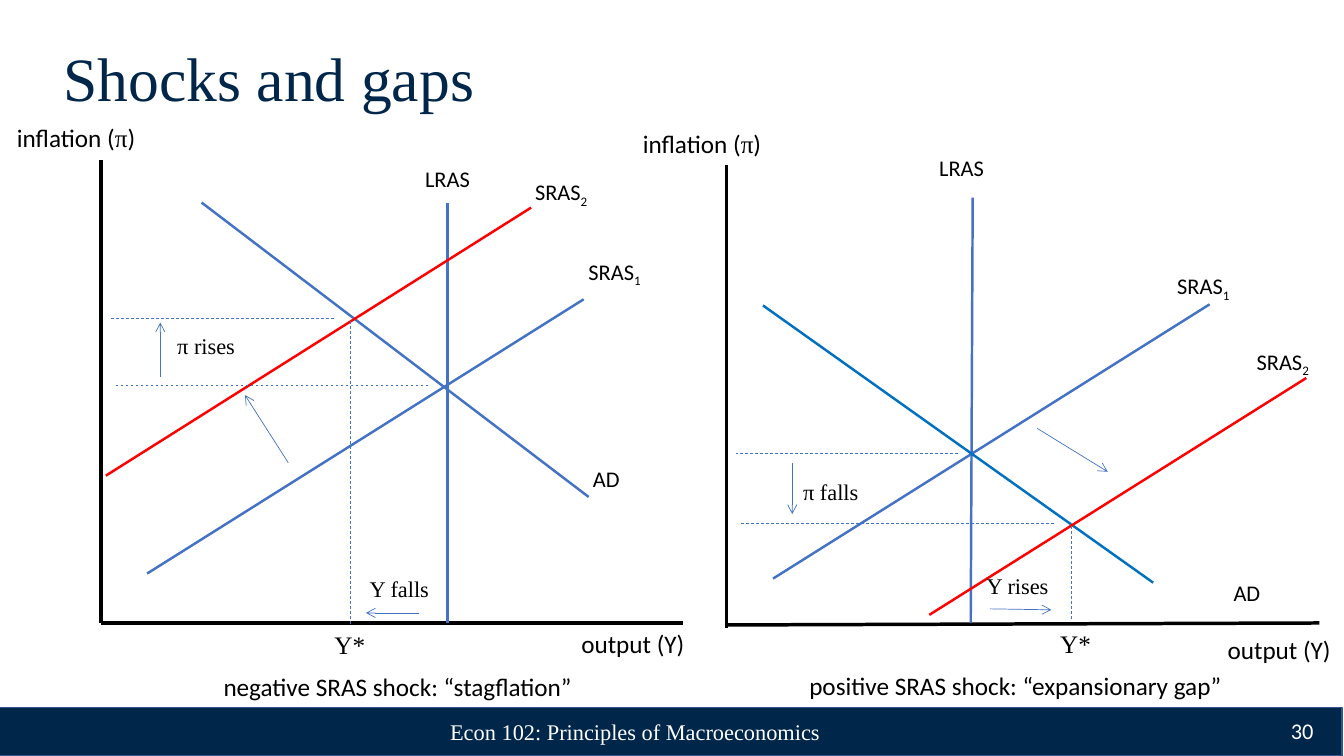
"""Build a slide comparing negative and positive supply shocks."""
from dataclasses import dataclass

from lxml import etree
from pptx import Presentation
from pptx.dml.color import RGBColor as Rgb
from pptx.enum import dml, shapes, text
from pptx.oxml.ns import qn
from pptx.util import Pt


@dataclass(frozen=True)
class Theme:
    navy: str = "00264A"
    edge: str = "325491"
    blue: str = "4472C4"
    teal: str = "0070C0"
    red: str = "FF0000"
    black: str = "000000"
    white: str = "FFFFFF"
    sans: str = "Calibri"
    serif: str = "Times New Roman"
    head: int = 44
    body: int = 18
    small: int = 16
    axis: float = 2.5
    curve: float = 1.75
    thin: float = 0.5


T = Theme()
SHIFT = (447.1, 3.6)


def line(slide, x1, y1, x2, y2, color=T.blue, width=T.curve, dash=False, arrow=False):
    item = slide.shapes.add_connector(
        shapes.MSO_CONNECTOR.STRAIGHT, Pt(x1), Pt(y1), Pt(x2), Pt(y2))
    item.line.color.rgb = Rgb.from_string(color)
    item.line.width = Pt(width)
    if dash:
        item.line.dash_style = dml.MSO_LINE.DASH
    props = item._element.spPr
    if arrow:
        etree.SubElement(props.find(qn("a:ln")), qn("a:tailEnd"), type="arrow")
    etree.SubElement(props, qn("a:effectLst"))


def style(run, size, font, color):
    run.font.size = Pt(size)
    run.font.name = font
    run.font.color.rgb = Rgb.from_string(color)


def label(slide, parts, x, y, w, h=26.6, size=T.small, font=T.sans, wrap=False):
    """Place a text made of one or more runs and return the runs."""
    box = slide.shapes.add_textbox(Pt(x), Pt(y), Pt(w), Pt(h))
    frame = box.text_frame
    frame.word_wrap = wrap
    frame.auto_size = text.MSO_AUTO_SIZE.SHAPE_TO_FIT_TEXT
    para = frame.paragraphs[0]
    for part in parts:
        run = para.add_run()
        run.text = part
        style(run, size, font, T.black)
    return para.runs


def supply(slide, num, x, y):
    runs = label(slide, ("SRAS", num), x, y, 53.3)
    runs[1]._r.get_or_add_rPr().set("baseline", "-25000")


def bar(slide, words, x, y, w, h, size, font, color, align):
    box = slide.shapes.add_textbox(Pt(x), Pt(y), Pt(w), Pt(h))
    frame = box.text_frame
    frame.word_wrap = True
    frame.vertical_anchor = text.MSO_ANCHOR.MIDDLE
    frame.margin_left = frame.margin_right = Pt(9.4)
    frame.margin_top = frame.margin_bottom = Pt(5)
    frame.text = words
    para = frame.paragraphs[0]
    para.alignment = align
    style(para.runs[0], size, font, color)
    return para


def base(slide):
    """Draw the title and the footer band."""
    band = slide.shapes.add_shape(
        shapes.MSO_SHAPE.RECTANGLE, Pt(-1.44), Pt(505.4), Pt(960), Pt(34.6))
    band.shadow.inherit = False
    band.fill.solid()
    band.fill.fore_color.rgb = Rgb.from_string(T.navy)
    band.line.color.rgb = Rgb.from_string(T.edge)
    band.line.width = Pt(1)
    side = text.PP_ALIGN
    title = bar(slide, "Shocks and gaps", 36, 28.8, 888, 58.3,
                T.head, T.serif, T.navy, side.LEFT)
    title.line_spacing = 0.9
    bar(slide, "Econ 102: Principles of Macroeconomics", 291.6, 508.3, 324, 28.8,
        T.small, T.serif, T.white, side.CENTER)
    bar(slide, "30", 880.6, 507.6, 67, 28.8, T.small, T.sans, T.white, side.RIGHT)


def frame(slide, dx, dy):
    """Draw what both graphs share: price axis, its name and first supply curve."""
    line(slide, 72 + dx, 114.5 + dy, 72 + dx, 445 + dy, T.black, T.axis)
    line(slide, 105.1 + dx, 409.7 + dy, 416.9 + dx, 213.8 + dy)
    runs = label(slide, ("inflation (", "π", ")"), 5 + dx, 84.2 + dy, 100, 28.8, T.body)
    runs[1].font.name = T.serif


def graph(slide, shift, axis, curves, dashes, arrows, marks, names, notes):
    frame(slide, *shift)
    line(slide, *axis, T.black, T.axis)
    for ends, color in curves:
        line(slide, *ends, color)
    for ends in dashes:
        line(slide, *ends, width=T.thin, dash=True)
    for ends in arrows:
        line(slide, *ends, width=T.thin, arrow=True)
    for num, spot in enumerate(marks, 1):
        supply(slide, str(num), *spot)
    for words, size, *spot in names:
        label(slide, (words,), *spot, size=size)
    for words, size, wrap, *spot in notes:
        label(slide, (words,), *spot, size=size, font=T.serif, wrap=wrap)


def main():
    deck = Presentation()
    deck.slide_width, deck.slide_height = Pt(960), Pt(540)
    slide = deck.slides.add_slide(deck.slide_layouts[6])
    base(slide)
    graph(
        slide, (0, 0), (72, 445, 488.2, 445),
        curves=[((319.7, 445, 319.7, 144.7), T.blue),
                ((144, 144.7, 420.5, 355), T.blue),
                ((75.6, 339.8, 379.4, 148.3), T.red)],
        dashes=[(250.6, 445.7, 250.6, 228.2), (306, 275, 81.4, 275),
                (238.3, 227.5, 79.2, 227.5)],
        arrows=[(205.9, 330.5, 175, 282.2), (114.5, 269.3, 114.5, 230.4),
                (299.5, 437.8, 261.4, 437.8)],
        marks=[(413.3, 180.7), (375.1, 123.8)],
        names=[("LRAS", T.small, 296.6, 114.5, 46.8),
               ("AD", T.small, 416.5, 329, 33.8),
               ("output (Y)", T.body, 408.2, 445, 89.3, 28.8),
               ("negative SRAS shock: “stagflation”", T.body, 152.6, 475.9, 266.4, 28.8)],
        notes=[("Y*", T.body, True, 231.8, 445.7, 38.2, 28.8),
               ("π rises", T.small, False, 119.5, 234, 56.9),
               ("Y falls", T.small, False, 257, 407.5, 57.6)])
    graph(
        slide, SHIFT, (519.1, 446.4, 942.5, 445),
        curves=[((693.4, 445, 694.8, 141.1), T.blue),
                ((545, 218.2, 823.7, 416.2), T.teal),
                ((663.8, 439.2, 933.1, 270), T.red)],
        dashes=[(765.4, 442.1, 765.4, 373.7), (753.1, 373.7, 529.2, 373.7),
                (684, 324, 525.6, 324)],
        arrows=[(740.9, 306, 791.3, 337), (565.9, 330.5, 565.9, 367.2),
                (707, 434.9, 751, 435.6)],
        marks=[(833.8, 190.8), (890.6, 244.8)],
        names=[("LRAS", T.small, 663.8, 106.6, 46.8),
               ("AD", T.small, 874.1, 410.4, 33.8),
               ("output (Y)", T.body, 869.8, 449.3, 89.3, 28.8),
               ("positive SRAS shock: “expansionary gap”", T.body, 571, 475.2, 312.5, 28.8)],
        notes=[("Y*", T.body, True, 750.2, 445, 38.2, 28.8),
               ("π falls", T.small, True, 566.6, 337.7, 63.4),
               ("Y rises", T.small, False, 697.7, 405.4, 59)])
    deck.save("out.pptx")


if __name__ == "__main__":
    main()
